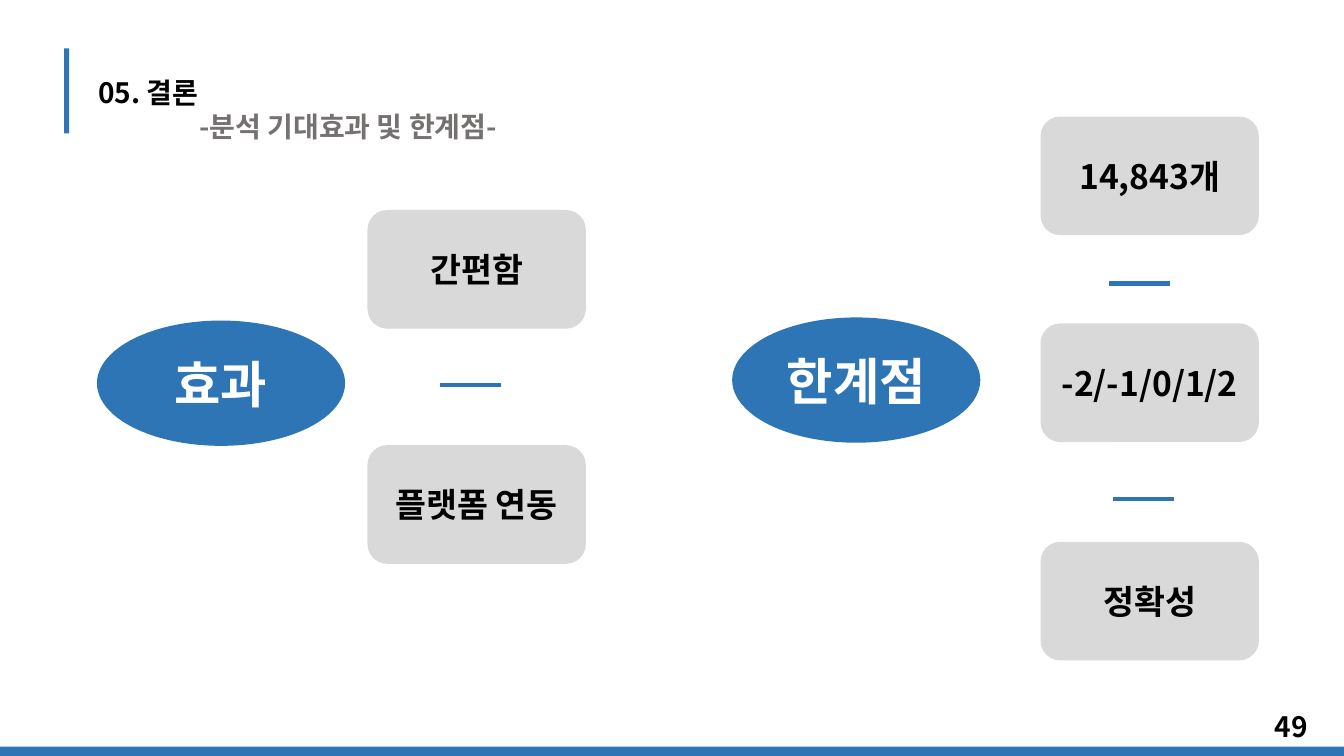
"""Builds the conclusion slide on expected effects and limitations."""
from typing import NamedTuple

from lxml import etree
from pptx import Presentation
from pptx import util as u
from pptx.dml.color import RGBColor
from pptx.enum import shapes, text
from pptx.oxml.ns import qn

PX = 9525
SLIDE_WIDTH, SLIDE_HEIGHT = 1280, 720
FONT = "Noto Sans CJK KR"
COLORS = {"blue": "2E75B6", "card": "D9D9D9", "ink": "000000",
          "muted": "767171", "white": "FFFFFF"}
SHAPE = shapes.MSO_SHAPE
ALIGN = text.PP_ALIGN
ANCHOR = text.MSO_ANCHOR


class Block(NamedTuple):
    label: str
    left: int
    top: int


class Dash(NamedTuple):
    left: int
    top: int


TOPICS = [Block("한계점", 698, 303), Block("효과", 93, 306)]
CARDS = [
    Block("14,843개", 991, 111),
    Block("-2/-1/0/1/2", 991, 308),
    Block("정확성", 991, 516),
    Block("간편함", 350, 200),
    Block("플랫폼 연동", 350, 424),
]
DASHES = [Dash(1056, 270), Dash(1060, 475), Dash(419, 367)]
DASH_WIDTH = 58
TAB_WIDTH = 96


def px(length: int) -> u.Emu:
    return u.Emu(length * PX)


def rgb(name: str) -> RGBColor:
    return RGBColor.from_string(COLORS[name])


def write(paragraph, content: str, *, size: int, color: str = "ink",
          align=ALIGN.LEFT) -> None:
    paragraph.alignment = align
    paragraph.line_spacing = 1.0
    paragraph._p.get_or_add_pPr().set("defTabSz", str(px(TAB_WIDTH)))
    run = paragraph.add_run()
    run.text = content
    run.font.size = u.Pt(size)
    run.font.bold = True
    run.font.name = FONT
    run.font.color.rgb = rgb(color)
    latin = run.font._element.find(qn("a:latin"))
    latin.addnext(etree.Element(qn("a:ea"), typeface=FONT))


def add_block(slide, kind, left: int, top: int, width: int, height: int,
              fill: str):
    block = slide.shapes.add_shape(kind, px(left), px(top), px(width), px(height))
    block.shadow.inherit = False
    block.fill.solid()
    block.fill.fore_color.rgb = rgb(fill)
    block.line.fill.background()
    return block


def add_card(slide, card: Block) -> None:
    box = add_block(slide, SHAPE.ROUNDED_RECTANGLE, card.left, card.top,
                    208, 113, "card")
    box.text_frame.vertical_anchor = ANCHOR.MIDDLE
    write(box.text_frame.paragraphs[0], card.label, size=24, align=ALIGN.CENTER)


def add_topic(slide, topic: Block) -> None:
    oval = add_block(slide, SHAPE.OVAL, topic.left, topic.top, 235, 118, "blue")
    oval.line.color.rgb = rgb("blue")
    oval.line.width = u.Pt(1)
    oval.text_frame.vertical_anchor = ANCHOR.MIDDLE
    write(oval.text_frame.paragraphs[0], topic.label, size=36, color="white",
          align=ALIGN.CENTER)


def add_dash(slide, dash: Dash) -> None:
    line = slide.shapes.add_connector(
        shapes.MSO_CONNECTOR.STRAIGHT, px(dash.left + DASH_WIDTH), px(dash.top),
        px(dash.left), px(dash.top))
    line.line.color.rgb = rgb("blue")
    line.line.width = u.Pt(3)
    etree.SubElement(line._element.spPr, qn("a:effectLst"))


def add_heading(slide) -> None:
    heading = slide.shapes.title
    heading.left, heading.top = px(84), px(67)
    heading.width, heading.height = px(463), px(74)
    frame = heading.text_frame
    frame.word_wrap = True
    frame.auto_size = text.MSO_AUTO_SIZE.NONE
    frame.vertical_anchor = ANCHOR.TOP
    write(frame.paragraphs[0], "05. 결론", size=20)
    write(frame.add_paragraph(), "\t-분석 기대효과 및 한계점-", size=20,
          color="muted")


def add_page_number(slide) -> None:
    box = slide.shapes.add_textbox(px(967), px(673), px(288), px(38))
    box.text_frame.word_wrap = True
    box.text_frame.vertical_anchor = ANCHOR.MIDDLE
    write(box.text_frame.paragraphs[0], "49", size=20, align=ALIGN.RIGHT)


def main() -> None:
    deck = Presentation()
    deck.slide_width, deck.slide_height = px(SLIDE_WIDTH), px(SLIDE_HEIGHT)
    slide = deck.slides.add_slide(deck.slide_layouts[5])
    add_heading(slide)
    for card in CARDS:
        add_card(slide, card)
    for topic in TOPICS:
        add_topic(slide, topic)
    for dash in DASHES:
        add_dash(slide, dash)
    add_page_number(slide)
    add_block(slide, SHAPE.RECTANGLE, 61, 46, 5, 81, "blue")
    add_block(slide, SHAPE.RECTANGLE, 0, 711, SLIDE_WIDTH, 9, "blue")
    deck.save("out.pptx")


if __name__ == "__main__":
    main()
